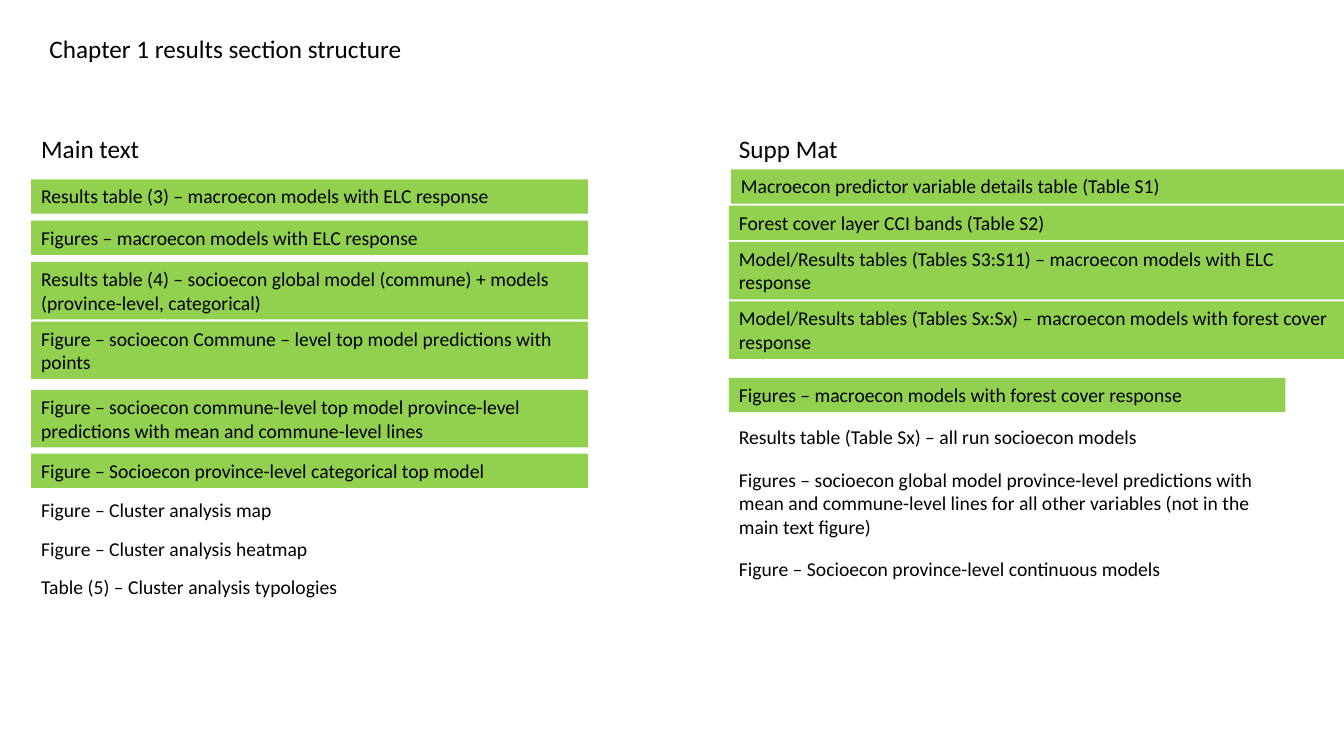
from pptx import Presentation
from pptx.dml.color import RGBColor
from pptx.enum.text import MSO_ANCHOR, MSO_AUTO_SIZE as AutoSize, PP_ALIGN
from pptx.util import Inches, Pt

FONT = "Calibri"
BLACK, DONE_GREEN = "000000", "92D050"
MAIN_LEFT, SUPP_LEFT = 0.31, 7.23
NARROW, WIDE = 5.52, 6.1
HEADING_TOP, HEADING_HEIGHT = 1.27, 0.4

# Each item: top, number of lines, finished, text
MAIN_ITEMS = [
    (1.78, 1, True, "Results table (3) – macroecon models with ELC response"),
    (2.19, 1, True, "Figures – macroecon models with ELC response"),
    (2.6, 2, True, "Results table (4) – socioecon global model (commune) + models "
                   "(province-level, categorical) "),
    (3.19, 2, True, "Figure – socioecon Commune – level top model predictions with points"),
    (3.87, 2, True, "Figure – socioecon commune-level top model province-level "
                    "predictions with mean and commune-level lines"),
    (4.5, 1, True, "Figure – Socioecon province-level categorical top model"),
    (4.89, 1, False, "Figure – Cluster analysis map"),
    (5.28, 1, False, "Figure – Cluster analysis heatmap"),
    (5.65, 1, False, "Table (5) – Cluster analysis typologies"),
]
SUPP_TABLES = [
    (2.04, 1, True, "Forest cover layer CCI bands (Table S2)"),
    (2.4, 2, True, "Model/Results tables (Tables S3:S11) – macroecon models with ELC response"),
    (2.99, 2, True, "Model/Results tables (Tables Sx:Sx) – macroecon models with "
                    "forest cover response"),
]
SUPP_FIRST_TABLE = [
    (1.68, 1, True, "Macroecon predictor variable details table (Table S1)"),
]
SUPP_ITEMS = [
    (3.75, 1, True, "Figures – macroecon models with forest cover response"),
    (4.17, 1, False, "Results table (Table Sx) – all run socioecon models"),
    (4.59, 3, False, "Figures – socioecon global model province-level predictions with "
                     "mean and commune-level lines for all other variables (not in the "
                     "main text figure)"),
    (5.48, 1, False, "Figure – Socioecon province-level continuous models"),
]


def color(hex_string):
    """Turn a hex string into a colour."""
    return RGBColor.from_string(hex_string)


def set_attributes(target, values):
    """Set every attribute named in a dict of values."""
    for name, value in values.items():
        setattr(target, name, value)


def write_text(shape, text, size):
    """Put left-aligned, wrapped black text at the top of a shape."""
    frame = shape.text_frame
    set_attributes(frame, {"text": text, "word_wrap": True,
                           "auto_size": AutoSize.SHAPE_TO_FIT_TEXT,
                           "vertical_anchor": MSO_ANCHOR.TOP})
    paragraph = frame.paragraphs[0]
    paragraph.alignment = PP_ALIGN.LEFT
    font = paragraph.runs[0].font
    set_attributes(font, {"name": FONT, "size": Pt(size)})
    font.color.rgb = color(BLACK)


def add_title(slide, text):
    """Place and format the slide's title."""
    title = slide.shapes.title
    set_attributes(title, {"left": Inches(0.39), "top": Inches(0.28),
                           "width": Inches(4.38), "height": Inches(0.4)})
    write_text(title, text, 18)


def add_label(slide, box, text, size, fill=None):
    """Add a text box, filled if a colour is given."""
    shape = slide.shapes.add_textbox(*map(Inches, box))
    write_text(shape, text, size)
    if fill:
        shape.fill.solid()
        shape.fill.fore_color.rgb = color(fill)


def add_items(slide, left, width, items):
    """Add a column of items, the finished ones in green."""
    for top, lines, finished, text in items:
        height = round(0.1 + 0.236 * lines, 2)
        add_label(slide, (left, top, width, height), text, 14,
                  DONE_GREEN if finished else None)


def main():
    """Build the slide and save it."""
    presentation = Presentation()
    set_attributes(presentation, {"slide_width": Inches(13.33),
                                  "slide_height": Inches(7.5)})
    slide = presentation.slides.add_slide(presentation.slide_layouts[5])
    add_title(slide, "Chapter 1 results section structure")
    for left, heading in ((MAIN_LEFT, "Main text"), (SUPP_LEFT, "Supp Mat")):
        add_label(slide, (left, HEADING_TOP, 1.25, HEADING_HEIGHT), heading, 18)
    add_items(slide, MAIN_LEFT, NARROW, MAIN_ITEMS)
    add_items(slide, SUPP_LEFT, NARROW, SUPP_ITEMS)
    add_items(slide, SUPP_LEFT + 0.02, WIDE, SUPP_FIRST_TABLE)
    add_items(slide, SUPP_LEFT, WIDE, SUPP_TABLES)
    presentation.save("out.pptx")


main()
